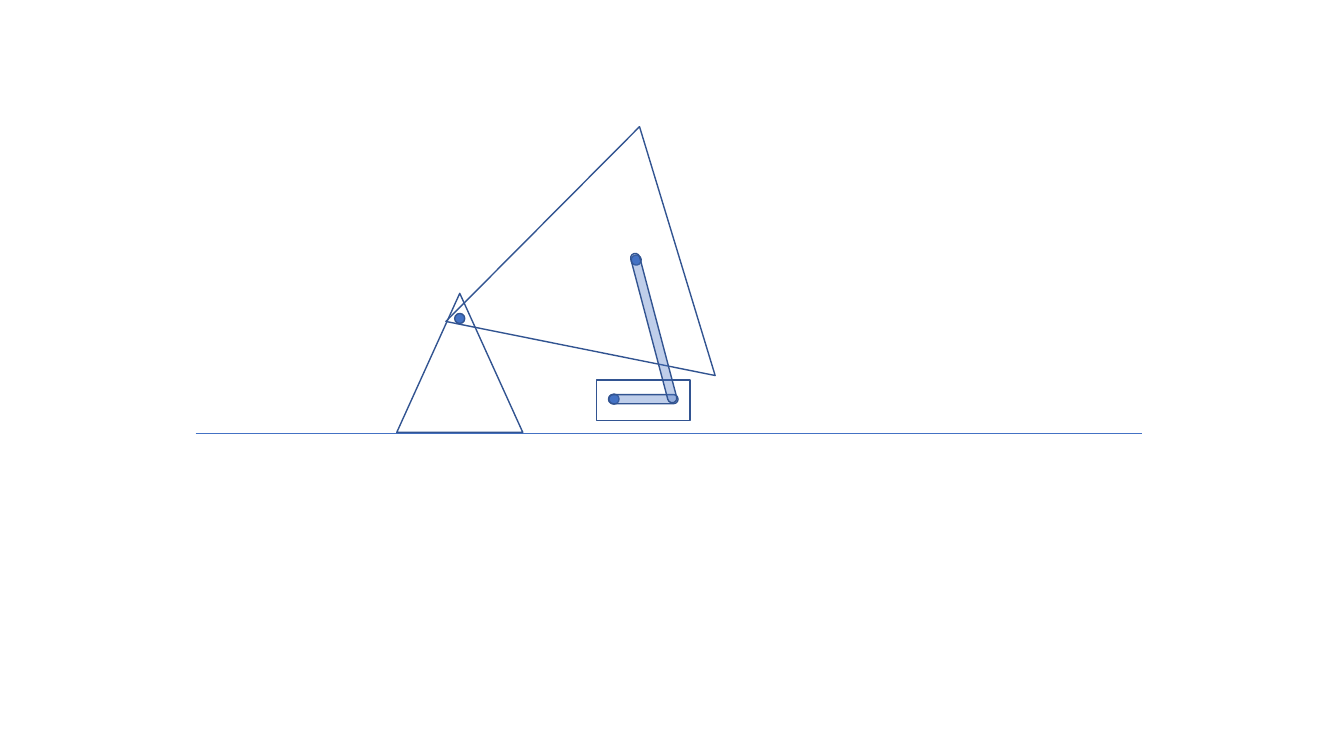
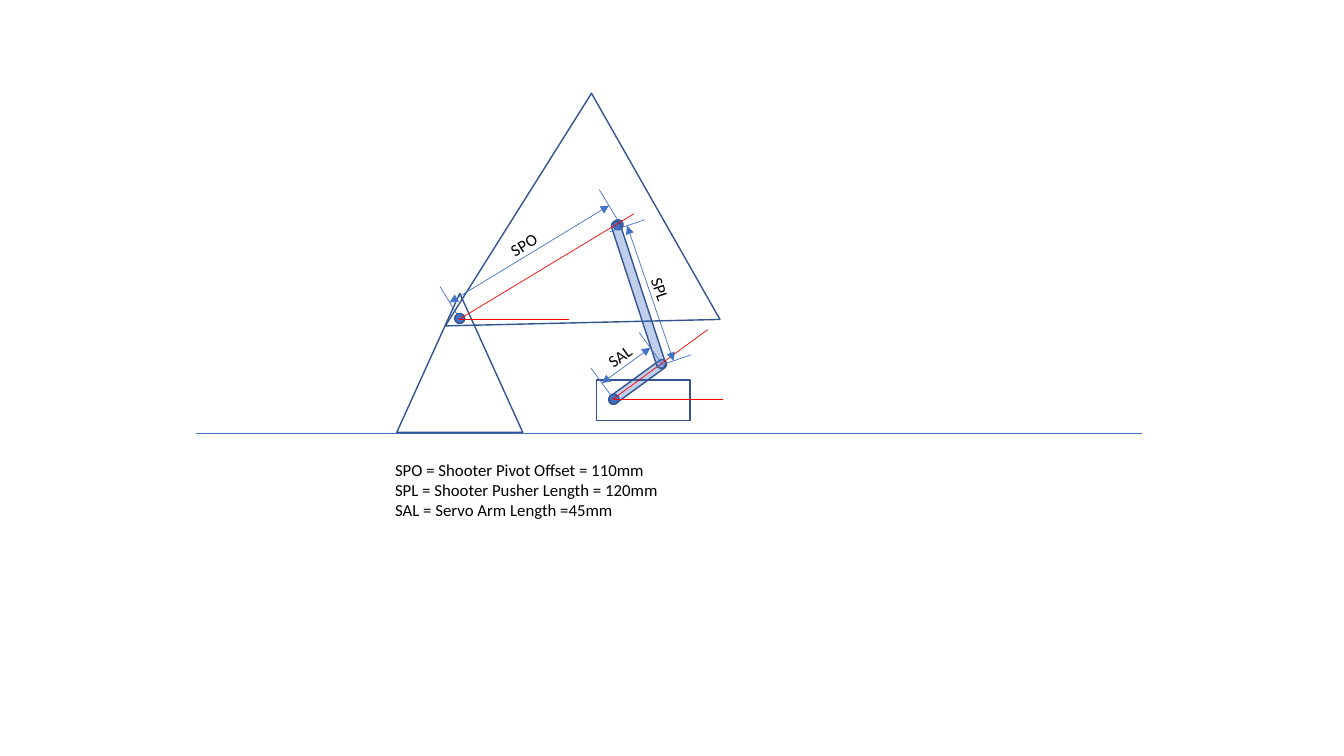
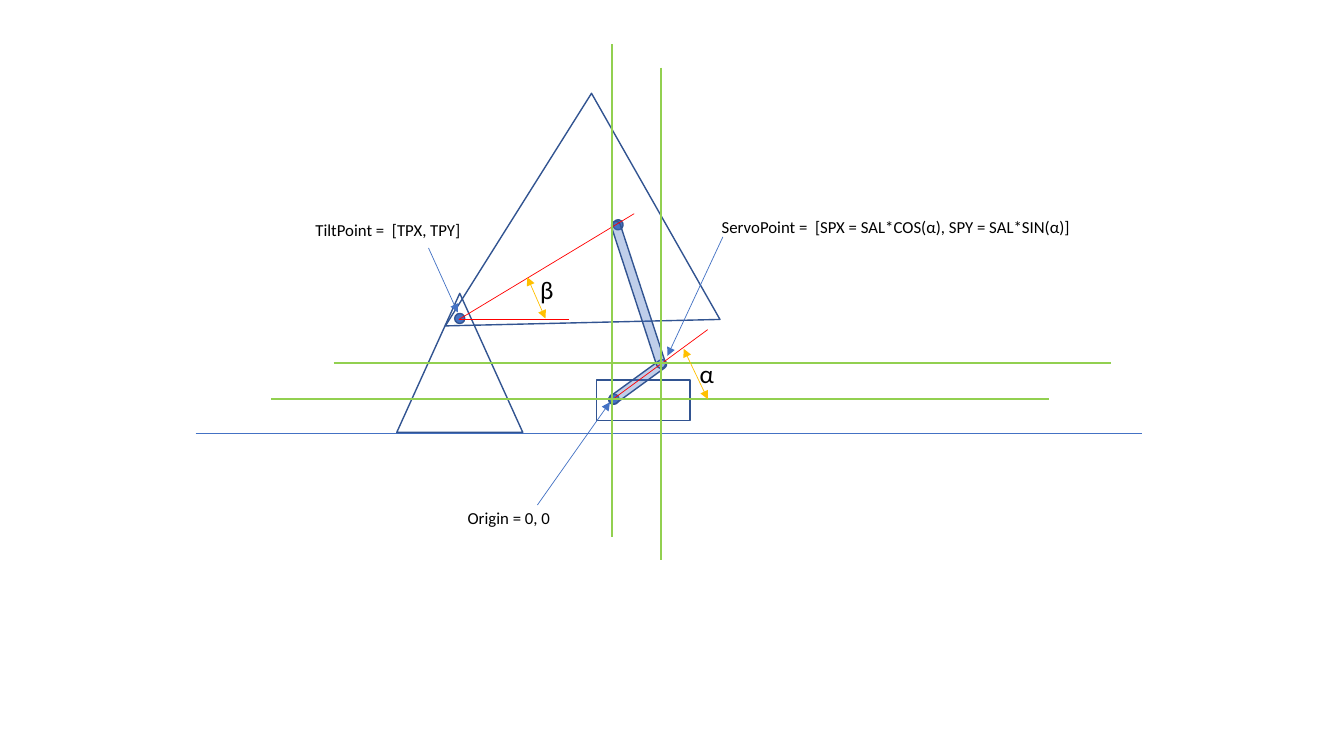
from math import atan2, cos, degrees, hypot, radians, sin

from lxml import etree
from pptx import Presentation
from pptx.dml.color import RGBColor
from pptx.enum.shapes import MSO_CONNECTOR, MSO_SHAPE
from pptx.enum.text import MSO_AUTO_SIZE, PP_ALIGN
from pptx.oxml.ns import qn
from pptx.util import Inches, Pt

COLORS = {
    "blue": "4472C4",
    "outline": "325491",
    "red": "FF0000",
    "green": "92D050",
    "amber": "FFC000",
    "text": "000000",
}
FONT = "Calibri"
PIN = 0.1
BAR = 0.09
BAR_ALPHA = 34
WITNESS = 0.37
LABEL_GAP = 0.11

SERVO_PIVOT = (6.09, 3.96)
TILT_PIVOT = (4.56, 3.16)

# Angles run counterclockwise from the horizontal, in degrees
LOW = {"servo": 0, "pusher": 104.8, "shooter": 253.1,
       "body": (5.57, 2.84), "joint": (6.31, 2.58)}
RAISED = {"servo": 36.1, "pusher": 108.1, "shooter": 240.4,
          "body": (5.46, 2.64), "joint": (6.13, 2.23)}


def rgb(name):
    return RGBColor.from_string(COLORS[name])


def polar(start, length, angle):
    x, y = start
    return x + length * cos(radians(angle)), y - length * sin(radians(angle))


# Basic parts
def add_part(slide, kind, center, size, rotation=0, fill=None, alpha=None):
    (x, y), (width, height) = center, size
    part = slide.shapes.add_shape(kind, Inches(x - width / 2), Inches(y - height / 2),
                                  Inches(width), Inches(height))
    part.rotation = rotation % 360
    part.shadow.inherit = False
    part.line.color.rgb = rgb("outline")
    part.line.width = Pt(1)
    if fill is None:
        part.fill.background()
        return part
    part.fill.solid()
    part.fill.fore_color.rgb = rgb(fill)
    if alpha is not None:
        color = part.fill._xPr.find(".//" + qn("a:srgbClr"))
        etree.SubElement(color, qn("a:alpha"), val=str(alpha * 1000))
    return part


def add_pin(slide, center, rotation=0):
    add_part(slide, MSO_SHAPE.OVAL, center, (PIN, PIN), rotation, "blue")


def add_bar(slide, center, length, angle):
    bar = add_part(slide, MSO_SHAPE.ROUNDED_RECTANGLE, center, (length, BAR),
                   -angle, "blue", BAR_ALPHA)
    bar.adjustments[0] = 0.5


def add_line(slide, start, end, color="blue", width=0.5, arrows=()):
    line = slide.shapes.add_connector(MSO_CONNECTOR.STRAIGHT,
                                      *(Inches(v) for v in (*start, *end)))
    line.line.color.rgb = rgb(color)
    line.line.width = Pt(width)
    outline = line.line._ln
    for end_name in arrows:
        etree.SubElement(outline, qn("a:" + end_name), type="triangle")
    etree.SubElement(outline.getparent(), qn("a:effectLst"))


def add_label(slide, box, lines, size=12, rotation=0, align=PP_ALIGN.LEFT):
    label = slide.shapes.add_textbox(*(Inches(v) for v in box))
    label.rotation = rotation % 360
    frame = label.text_frame
    frame.word_wrap = False
    frame.auto_size = MSO_AUTO_SIZE.SHAPE_TO_FIT_TEXT
    style = {"name": FONT, "size": Pt(size)}
    for index, text in enumerate(lines):
        paragraph = frame.paragraphs[0] if index == 0 else frame.add_paragraph()
        paragraph.alignment = align
        run = paragraph.add_run()
        run.text = text
        for key, value in style.items():
            setattr(run.font, key, value)
        run.font.color.rgb = rgb("text")


# Regions of the drawing
def draw_stand(slide, center):
    x, y = center
    add_part(slide, MSO_SHAPE.ISOSCELES_TRIANGLE, (x, y + 0.44), (1.25, 1.38))
    add_pin(slide, center)


def draw_shooter(slide, pose):
    tilt = pose["shooter"]
    add_part(slide, MSO_SHAPE.ISOSCELES_TRIANGLE, pose["body"], (2.58, 2.4), tilt)
    add_pin(slide, pose["joint"], tilt - 201.8)


def draw_servo(slide, pivot, pose):
    x, y = pivot
    add_part(slide, MSO_SHAPE.RECTANGLE, (x + 0.29, y + 0.01), (0.93, 0.4))
    add_pin(slide, pivot)
    add_bar(slide, polar(pivot, 0.29, pose["servo"]), 0.69, pose["servo"])
    arm_tip = polar(pivot, 0.58, pose["servo"])
    add_bar(slide, polar(arm_tip, 0.73, pose["pusher"]), 1.53, pose["pusher"])


def draw_mechanism(slide, pose):
    add_line(slide, (1.94, 4.3), (11.33, 4.3))
    draw_stand(slide, TILT_PIVOT)
    draw_shooter(slide, pose)
    draw_servo(slide, SERVO_PIVOT, pose)


def draw_angle_rays(slide):
    for start, ends in (((6.08, 3.96), ((7.17, 3.96), (7.02, 3.27))),
                        ((4.55, 3.17), ((5.64, 3.17), (6.29, 2.12)))):
        for end in ends:
            add_line(slide, start, end, "red")


def draw_dimension(slide, start, end, text, width, align=PP_ALIGN.CENTER):
    dx, dy = end[0] - start[0], end[1] - start[1]
    length = hypot(dx, dy)
    nx, ny = dy / length, -dx / length
    half = WITNESS / 2
    for x, y in (start, end):
        add_line(slide, (x + nx * half, y + ny * half), (x - nx * half, y - ny * half))
    add_line(slide, start, end, arrows=("headEnd", "tailEnd"))
    x = (start[0] + end[0]) / 2 + nx * LABEL_GAP
    y = (start[1] + end[1]) / 2 + ny * LABEL_GAP
    add_label(slide, (x - width / 2, y - 0.15, width, 0.3), [text],
              rotation=degrees(atan2(dy, dx)), align=align)


def draw_axes(slide):
    for x, top in ((6.07, 0.44), (6.56, 0.67)):
        add_line(slide, (x, top), (x, top + 4.89), "green", 1.5)
    for left, y in ((3.31, 3.6), (2.69, 3.96)):
        add_line(slide, (left, y), (left + 7.71, y), "green", 1.5)


def draw_angle(slide, start, end, symbol, box):
    add_line(slide, start, end, "amber", arrows=("headEnd", "tailEnd"))
    add_label(slide, box, [symbol], size=18)


def draw_callout(slide, start, end, text, box):
    add_line(slide, start, end, arrows=("tailEnd",))
    add_label(slide, box, [text])


# Slides
def lowered_slide(slide):
    draw_mechanism(slide, LOW)


def lengths_slide(slide):
    draw_mechanism(slide, RAISED)
    draw_angle_rays(slide)
    draw_dimension(slide, (5.97, 3.8), (6.45, 3.45), "SAL", 0.45)
    draw_dimension(slide, (4.46, 3), (6.04, 2.04), "SPO", 0.48)
    draw_dimension(slide, (6.22, 2.24), (6.68, 3.58), "SPL", 0.44, PP_ALIGN.LEFT)
    add_label(slide, (3.82, 4.51, 2.84, 0.71), [
        "SPO = Shooter Pivot Offset = 110mm",
        "SPL = Shooter Pusher Length = 120mm",
        "SAL = Servo Arm Length =45mm",
    ])


def coordinates_slide(slide):
    draw_mechanism(slide, RAISED)
    draw_angle_rays(slide)
    draw_axes(slide)
    draw_angle(slide, (6.78, 3.46), (7.02, 3.96), "α", (6.84, 3.51, 0.35, 0.4))
    draw_angle(slide, (5.23, 2.75), (5.41, 3.16), "β", (5.26, 2.67, 0.34, 0.4))
    draw_callout(slide, (5.33, 5.01), (6.05, 3.99), "Origin = 0, 0",
                 (4.54, 4.99, 1.03, 0.3))
    draw_callout(slide, (7.17, 2.35), (6.62, 3.53),
                 "ServoPoint =  [SPX = SAL*COS(α), SPY = SAL*SIN(α)]",
                 (7.06, 2.1, 3.7, 0.3))
    draw_callout(slide, (4.25, 2.46), (4.54, 3.1), "TiltPoint =  [TPX, TPY]",
                 (3.03, 2.13, 1.66, 0.3))


def main():
    deck = Presentation()
    deck.slide_width, deck.slide_height = Inches(13.33), Inches(7.5)
    for draw in (lowered_slide, lengths_slide, coordinates_slide):
        draw(deck.slides.add_slide(deck.slide_layouts[6]))
    deck.save("out.pptx")


if __name__ == "__main__":
    main()
